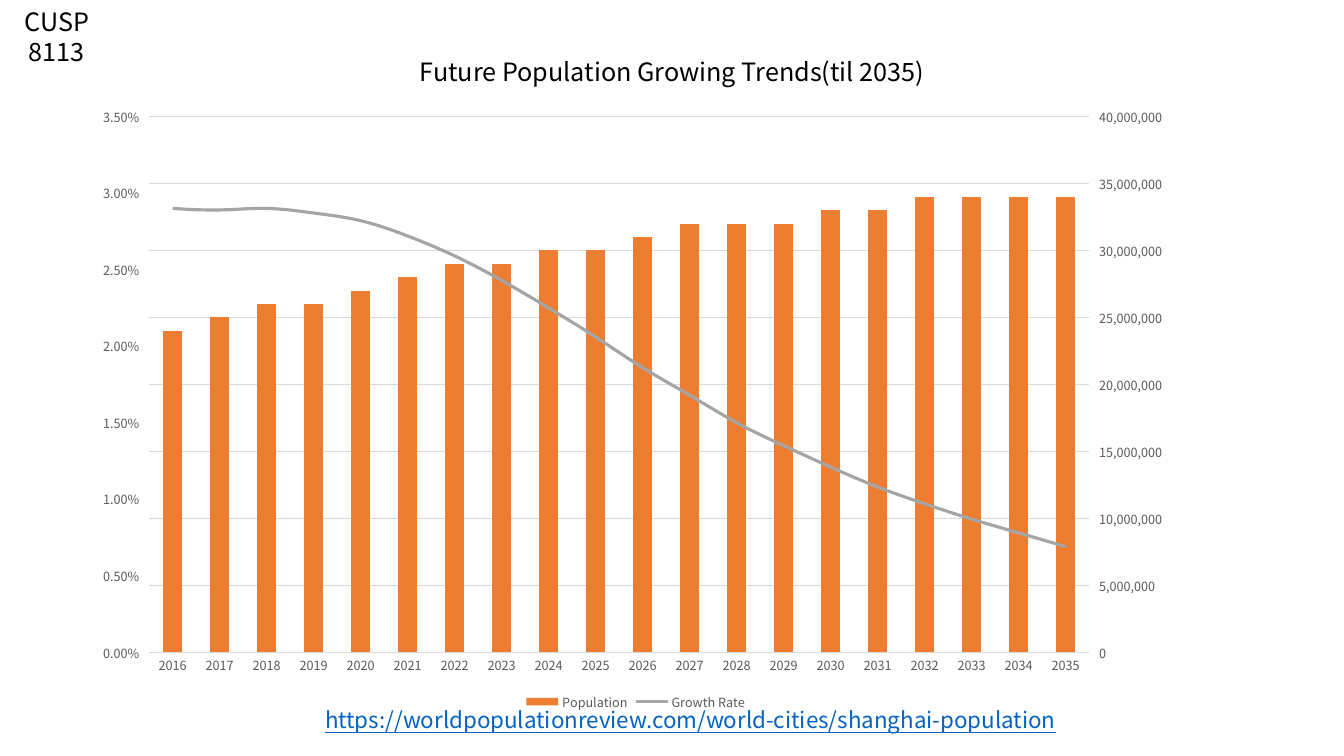
from copy import deepcopy
from dataclasses import dataclass

from pptx import Presentation
from pptx.chart.axis import CategoryAxis, ValueAxis
from pptx.chart.data import CategoryChartData
from pptx.dml.color import RGBColor
from pptx.enum.chart import XL_CHART_TYPE, XL_LEGEND_POSITION, XL_MARKER_STYLE, XL_TICK_MARK
from pptx.enum.text import MSO_ANCHOR, MSO_AUTO_SIZE, PP_ALIGN
from pptx.oxml import parse_xml
from pptx.oxml.ns import nsdecls, qn
from pptx.util import Inches, Pt

COLUMNS = XL_CHART_TYPE.COLUMN_CLUSTERED
BOTTOM = XL_LEGEND_POSITION.BOTTOM
NO_MARKER = XL_MARKER_STYLE.NONE
NO_TICK, TICK_OUT = XL_TICK_MARK.NONE, XL_TICK_MARK.OUTSIDE
CENTER = PP_ALIGN.CENTER
TOP = MSO_ANCHOR.TOP
GROW = MSO_AUTO_SIZE.SHAPE_TO_FIT_TEXT

COURSE = "CUSP 8113"
TITLE = "Future Population Growing Trends(til 2035)"
LINK = "https://worldpopulationreview.com/world-cities/shanghai-population"
YEARS = [str(year) for year in range(2035, 2015, -1)]
POPULATION_MILLIONS = [34, 34, 34, 34, 33, 33, 32, 32, 32, 31,
                       30, 30, 29, 29, 28, 27, 26, 26, 25, 24]
GROWTH_RATES = [0.0069, 0.0078, 0.0087, 0.0097, 0.0108, 0.0121, 0.0135, 0.015, 0.0168, 0.0186,
                0.0206, 0.0225, 0.0243, 0.0259, 0.0272, 0.0282, 0.0287, 0.029, 0.0289, 0.029]

COURSE_AREA = (0, 0.01, 1.13, 0.71)
TITLE_AREA = (3.67, 0.51, 5.99, 0.4)
CHART_AREA = (0.82, 0.91, 10.97, 6.18)
LINK_AREA = (0.56, 6.96, 12.58, 0.37)
PLOT_LAYOUT = {"x": 0.06, "y": 0.04, "w": 0.85, "h": 0.86}


@dataclass(frozen=True)
class Theme:
    text_font: str = "Noto Sans CJK JP"
    chart_font: str = "Noto Sans CJK SC"
    text: RGBColor = RGBColor(0, 0, 0)
    link: RGBColor = RGBColor(0x05, 0x63, 0xC1)
    label: RGBColor = RGBColor(0x59, 0x59, 0x59)
    grid: RGBColor = RGBColor(0xD9, 0xD9, 0xD9)
    population: RGBColor = RGBColor(0xED, 0x7D, 0x31)
    growth: RGBColor = RGBColor(0xA5, 0xA5, 0xA5)
    heading_size: int = 18
    link_size: int = 16
    chart_size: int = 10
    label_size: int = 9
    leading: float = 1.2


THEME = Theme()


def set_font(font, name, size, color):
    font.name = name
    font.size = Pt(size)
    font.color.rgb = color


def write_text(box, area, text, size, color, underline=False):
    box.left, box.top, box.width, box.height = map(Inches, area)
    frame = box.text_frame
    frame.word_wrap = True
    frame.auto_size = GROW
    frame.vertical_anchor = TOP
    para = frame.paragraphs[0]
    para.alignment = CENTER
    para.line_spacing = Pt(size * THEME.leading)
    span = para.add_run()
    span.text = text
    set_font(span.font, THEME.text_font, size, color)
    if underline:
        span.font.underline = True


def set_gray_line(line):
    line.color.rgb = THEME.grid
    line.width = Pt(0.75)


def format_axes(chart):
    years, people = chart.category_axis, chart.value_axis
    for axis in (years, people):
        set_font(axis.tick_labels.font, THEME.chart_font, THEME.label_size, THEME.label)
    years.reverse_order = True
    years.major_tick_mark = NO_TICK
    set_gray_line(years.format.line)
    people.minimum_scale, people.maximum_scale, people.major_unit = 0, 40_000_000, 5_000_000
    people.major_tick_mark = TICK_OUT
    people.tick_labels.number_format = "#,##0"
    people.tick_labels.number_format_is_linked = False
    people.format.line.fill.background()
    people.has_major_gridlines = True
    set_gray_line(people.major_gridlines.format.line)


def move_growth_to_second_axis(chart):
    plot_area = chart.plots[0]._element.getparent()
    bars = plot_area.find(qn("c:barChart"))
    growth = bars.findall(qn("c:ser"))[1]
    for bar_setting in growth.findall(qn("c:invertIfNegative")):
        growth.remove(bar_setting)
    line_chart = parse_xml(
        f'<c:lineChart {nsdecls("c")}><c:grouping val="standard"/><c:varyColors val="0"/>'
        '<c:marker val="1"/><c:axId val="5001"/><c:axId val="5002"/></c:lineChart>')
    line_chart.insert(2, growth)
    bars.addnext(line_chart)

    first_years = plot_area.find(qn("c:catAx"))
    first_people = plot_area.find(qn("c:valAx"))
    second_years, rates = deepcopy(first_years), deepcopy(first_people)
    for axis, own, other in ((second_years, "5001", "5002"), (rates, "5002", "5001")):
        axis.find(qn("c:axId")).set("val", own)
        axis.find(qn("c:crossAx")).set("val", other)
    rates.find(qn("c:crosses")).set("val", "max")
    first_people.addnext(rates)
    rates.addnext(second_years)

    CategoryAxis(second_years).visible = False
    rate_axis = ValueAxis(rates)
    rate_axis.has_major_gridlines = False
    rate_axis.maximum_scale, rate_axis.major_unit = 0.035, 0.005
    rate_axis.tick_labels.number_format = "0.00%"


def set_plot_layout(chart):
    plot_area = chart.plots[0]._element.getparent()
    for old in plot_area.findall(qn("c:layout")):
        plot_area.remove(old)
    modes = "".join(f'<c:{side}Mode val="edge"/>' for side in "xy")
    sizes = "".join(f'<c:{side} val="{share}"/>' for side, share in PLOT_LAYOUT.items())
    plot_area.insert(0, parse_xml(
        f'<c:layout {nsdecls("c")}><c:manualLayout><c:layoutTarget val="inner"/>'
        f'{modes}{sizes}</c:manualLayout></c:layout>'))


def add_population_chart(page):
    chart_data = CategoryChartData()
    chart_data.categories = YEARS
    chart_data.add_series("Population", [count * 1_000_000 for count in POPULATION_MILLIONS], "#,##0")
    chart_data.add_series("Growth Rate", GROWTH_RATES, "0.00%")
    chart = page.shapes.add_chart(COLUMNS, *map(Inches, CHART_AREA), chart_data).chart
    set_font(chart.font, THEME.chart_font, THEME.chart_size, THEME.text)
    chart.has_title = False
    chart.has_legend = True
    chart.legend.position = BOTTOM
    chart.legend.include_in_layout = False
    set_font(chart.legend.font, THEME.chart_font, THEME.label_size, THEME.label)
    format_axes(chart)
    move_growth_to_second_axis(chart)
    set_plot_layout(chart)

    columns, curve = chart.plots
    columns.gap_width = 150
    columns.vary_by_categories = False
    fill = columns.series[0].format.fill
    fill.solid()
    fill.fore_color.rgb = THEME.population
    growth = curve.series[0]
    growth.smooth = True
    growth.marker.style = NO_MARKER
    growth.format.line.color.rgb = THEME.growth
    growth.format.line.width = Pt(2.25)


def main():
    deck = Presentation()
    deck.slide_width, deck.slide_height = Inches(13.33), Inches(7.5)
    page = deck.slides.add_slide(deck.slide_layouts[5])
    write_text(page.shapes.title, TITLE_AREA, TITLE, THEME.heading_size, THEME.text)
    course_box = page.shapes.add_textbox(*map(Inches, COURSE_AREA))
    write_text(course_box, COURSE_AREA, COURSE, THEME.heading_size, THEME.text)
    add_population_chart(page)
    link_box = page.shapes.add_textbox(*map(Inches, LINK_AREA))
    write_text(link_box, LINK_AREA, LINK, THEME.link_size, THEME.link, underline=True)
    deck.save("out.pptx")


if __name__ == "__main__":
    main()
